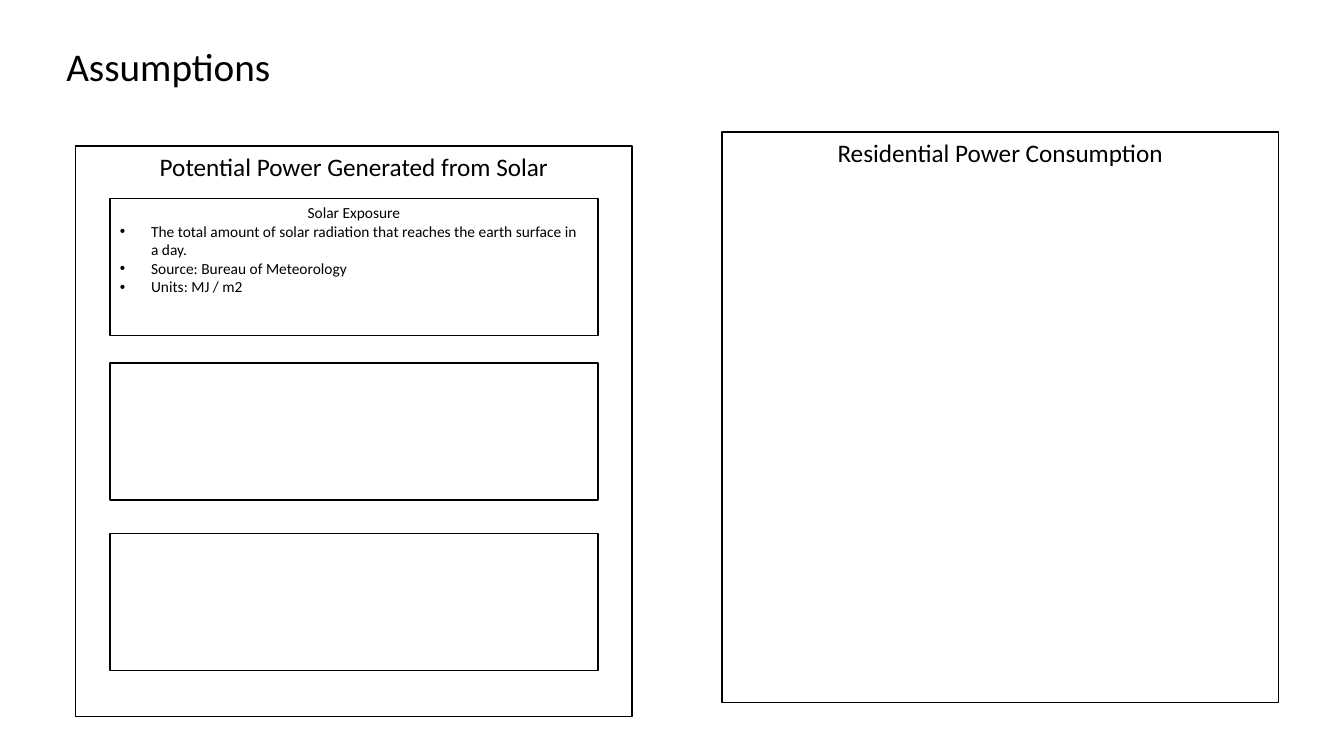
"""Build the Assumptions slide with its solar and consumption panels."""
from lxml import etree
from pptx import Presentation
from pptx import util as u
from pptx.dml.color import RGBColor
from pptx.enum import shapes, text
from pptx.oxml.ns import qn

COLORS = {"ink": "000000", "paper": "FFFFFF"}
CELL = 0.1
PANEL_SIZE = (55.2, 56.6)
CARD_SIZE = (48.4, 13.6)
CARD_COLUMN = 10.9


class SlideBuilder:
    """Hold the style and current slide, placing elements on a grid of cells."""

    font = "Calibri"
    line_width = u.Pt(1)
    indent = u.Inches(0.31)

    def __init__(self, slide):
        self.slide = slide

    def color(self, name):
        return RGBColor.from_string(COLORS[name])

    def place(self, column, row, columns, rows):
        return [u.Inches(cells * CELL) for cells in (column, row, columns, rows)]

    def set_text(self, shape, content, size, alignment):
        frame = shape.text_frame
        frame.word_wrap = True
        frame.vertical_anchor = text.MSO_ANCHOR.TOP
        frame.text = content
        for paragraph in frame.paragraphs:
            paragraph.alignment = alignment
            for run in paragraph.runs:
                run.font.name = self.font
                run.font.size = u.Pt(size)
                run.font.color.rgb = self.color("ink")

    def title(self, content, *area):
        shape = self.slide.shapes.add_textbox(*self.place(*area))
        self.set_text(shape, content, 28, text.PP_ALIGN.LEFT)

    def box(self, content, size, *area):
        shape = self.slide.shapes.add_shape(
            shapes.MSO_SHAPE.RECTANGLE, *self.place(*area))
        shape.shadow.inherit = False
        shape.fill.solid()
        shape.fill.fore_color.rgb = self.color("paper")
        shape.line.color.rgb = self.color("ink")
        shape.line.width = self.line_width
        self.set_text(shape, content, size, text.PP_ALIGN.CENTER)
        return shape

    def bullets(self, paragraphs):
        for paragraph in paragraphs:
            paragraph.alignment = text.PP_ALIGN.LEFT
            properties = paragraph._p.get_or_add_pPr()
            properties.set("marL", str(self.indent))
            properties.set("indent", str(-self.indent))
            etree.SubElement(properties, qn("a:buFont"), typeface="Arial")
            etree.SubElement(properties, qn("a:buChar"), char="•")


presentation = Presentation()
presentation.slide_width = u.Inches(13.33)
presentation.slide_height = u.Inches(7.5)
builder = SlideBuilder(presentation.slides.add_slide(presentation.slide_layouts[6]))

builder.title("Assumptions", 5.6, 3.7, 122.8, 7.9)
for heading, column, row in (
    ("Potential Power Generated from Solar", 7.5, 14.5),
    ("Residential Power Consumption", 71.6, 13.1),
):
    builder.box(heading, 18, column, row, *PANEL_SIZE)

solar_exposure = "\n".join((
    "Solar Exposure",
    "The total amount of solar radiation that reaches the earth surface in a day.",
    "Source: Bureau of Meteorology",
    "Units: MJ / m2",
))
for content, row in ((solar_exposure, 19.7), ("", 36), ("", 52.9)):
    card = builder.box(content, 11, CARD_COLUMN, row, *CARD_SIZE)
    builder.bullets(card.text_frame.paragraphs[1:])

presentation.save("out.pptx")
